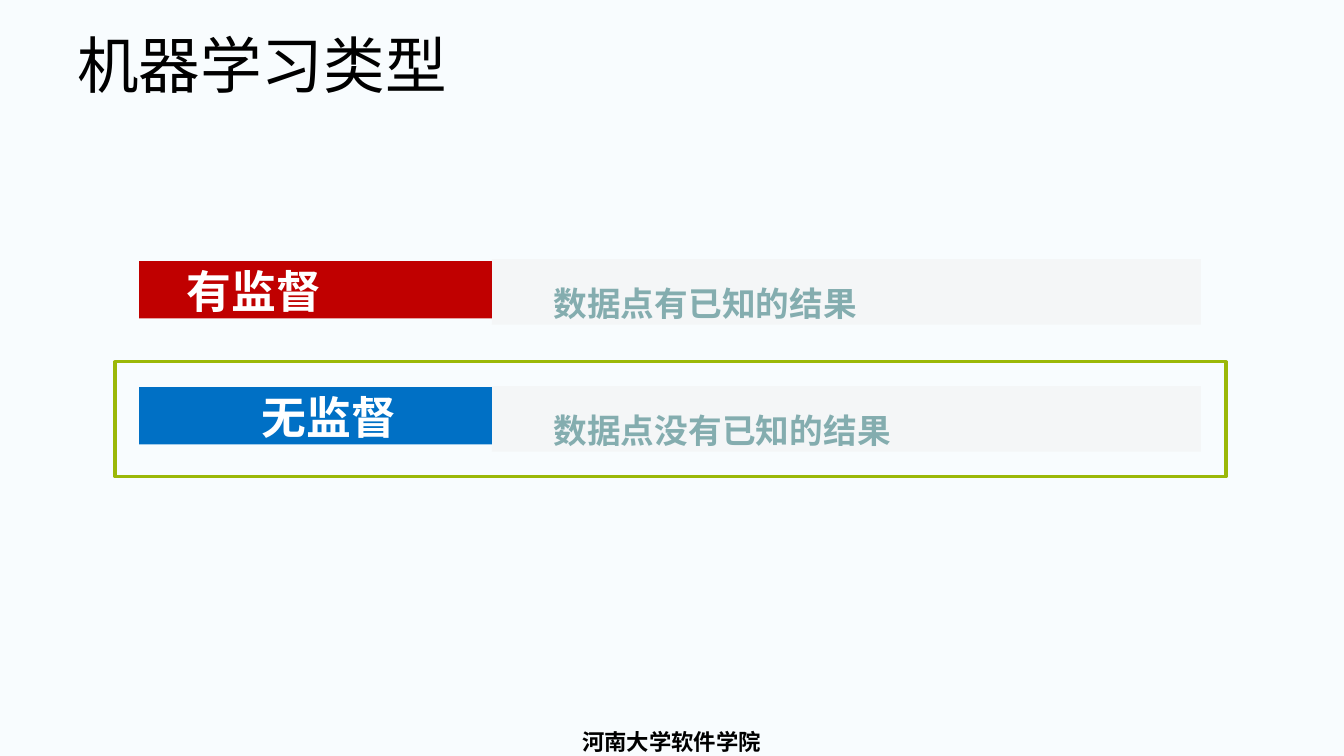
from lxml import etree
from pptx import Presentation, util as u
from pptx.dml.color import RGBColor
from pptx.enum import shapes, text
from pptx.oxml.ns import qn

COLORS = {
    "background": "F8FCFE",
    "black": "000000",
    "white": "FFFFFF",
    "panel": "F1F1F1",
    "description": "84ADAF",
    "supervised": "C00000",
    "unsupervised": "0070C5",
    "highlight": "9BB808",
}


def color(name):
    return RGBColor.from_string(COLORS[name])


def write(shape, words, size, ink, font="Cabin", bold=True, align=text.PP_ALIGN.LEFT,
          insets=(0.1, 0.05, 0.1, 0.05), indent=0, spacing=None, tracking=0):
    frame = shape.text_frame
    frame.word_wrap = True
    frame.vertical_anchor = text.MSO_ANCHOR.TOP
    (frame.margin_left, frame.margin_top,
     frame.margin_right, frame.margin_bottom) = map(u.Inches, insets)
    paragraph = frame.paragraphs[0]
    paragraph.alignment = align
    if spacing:
        paragraph.line_spacing = spacing
    if indent:
        properties = paragraph._p.get_or_add_pPr()
        properties.set("marL", str(u.Inches(indent)))
        properties.set("indent", "0")
    run = paragraph.add_run()
    run.text = words
    run.font.name = font
    run.font.size = u.Pt(size)
    run.font.bold = bold
    run.font.color.rgb = color(ink)
    if tracking:
        run._r.get_or_add_rPr().set("spc", str(round(tracking * 100)))


class Deck:
    def __init__(self):
        self.prs = Presentation()
        self.prs.slide_width = u.Inches(13.33)
        self.prs.slide_height = u.Inches(7.5)
        self.slide = self.prs.slides.add_slide(self.prs.slide_layouts[6])
        fill = self.slide.background.fill
        fill.solid()
        fill.fore_color.rgb = color("background")

    def place(self, left, top, width, height):
        across, down = self.prs.slide_width / 100, self.prs.slide_height / 100
        return [round(n) for n in (left * across, top * down, width * across, height * down)]

    def label(self, area, words, **style):
        write(self.slide.shapes.add_textbox(*self.place(*area)), words, **style)

    def block(self, area, fill=None, opacity=100, outline=None, weight=1):
        block = self.slide.shapes.add_shape(shapes.MSO_SHAPE.RECTANGLE, *self.place(*area))
        block.shadow.inherit = False
        if fill:
            block.fill.solid()
            block.fill.fore_color.rgb = color(fill)
            if opacity < 100:
                tint = block.fill._xPr.find(qn("a:solidFill"))[0]
                etree.SubElement(tint, qn("a:alpha")).set("val", str(opacity * 1000))
        else:
            block.fill.background()
        if outline:
            block.line.color.rgb = color(outline)
            block.line.width = u.Pt(weight)
        else:
            block.line.fill.background()
        return block


def main():
    deck = Deck()
    deck.label((37, 95.6, 25.95, 4.4), "河南大学软件学院", size=16, ink="black",
               font="DejaVu Sans", align=text.PP_ALIGN.CENTER)

    learning_types = [
        ("有监督", "数据点有已知的结果", "supervised", text.PP_ALIGN.LEFT, 0.47),
        ("无监督", "数据点没有已知的结果", "unsupervised", text.PP_ALIGN.CENTER, 0.27),
    ]
    for row, (kind, meaning, fill, align, indent) in enumerate(learning_types):
        panel = deck.block((36.6, 34.27 + row * 16.8, 52.75, 8.67), fill="panel", opacity=50)
        write(panel, meaning, size=24, ink="description", insets=(0, 0.24, 0, 0),
              indent=0.61, tracking=0.1)
        tag = deck.block((10.35, 34.53 + row * 16.67, 26.25, 7.6), fill=fill)
        write(tag, kind, size=32, ink="white", insets=(0, 0.03, 0, 0),
              align=align, indent=indent)

    deck.label((5, 4, 90, 16.67), "机器学习类型", size=44, ink="black",
               font="Calibri", bold=False, spacing=0.9)
    deck.block((8.55, 47.87, 82.67, 15.2), outline="highlight", weight=2.28)
    deck.prs.save("out.pptx")


if __name__ == "__main__":
    main()
